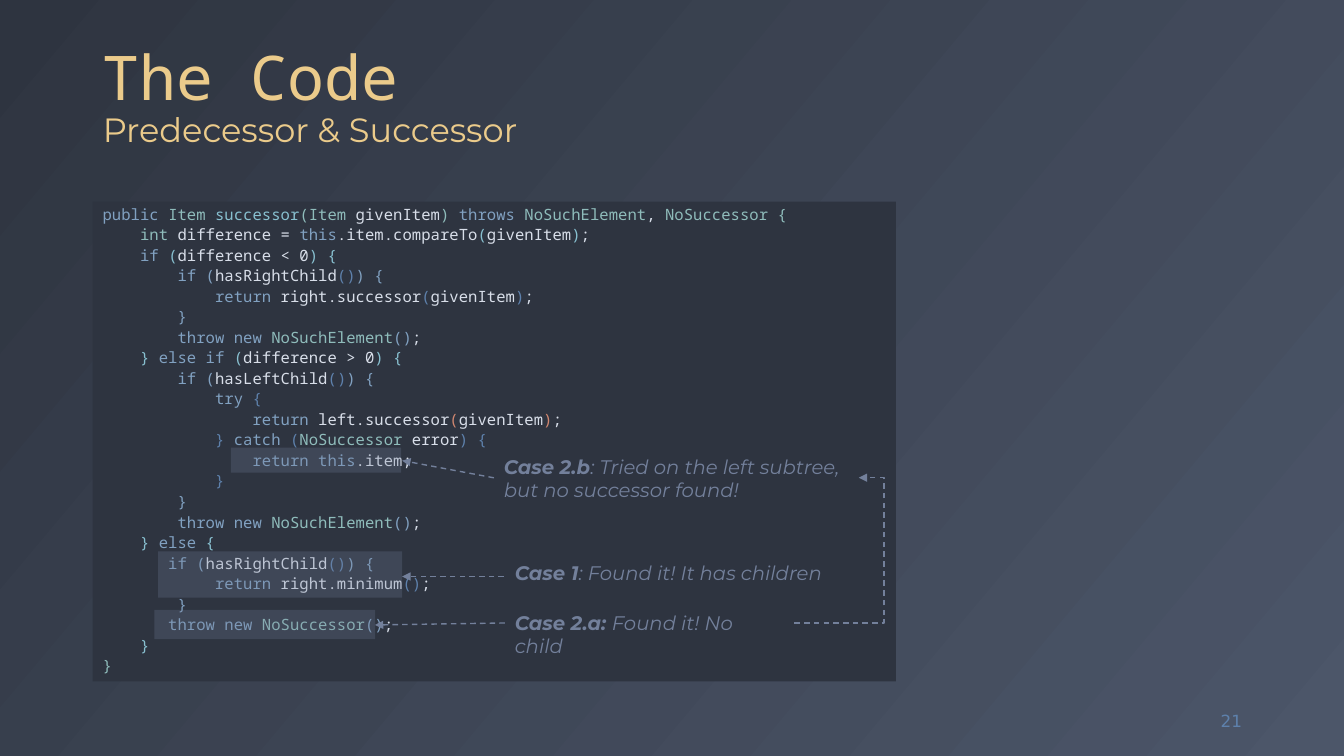
from lxml import etree
from pptx import Presentation
from pptx.dml.color import RGBColor
from pptx.enum.dml import MSO_LINE
from pptx.enum.shapes import MSO_CONNECTOR, MSO_SHAPE
from pptx.enum.text import MSO_ANCHOR, MSO_AUTO_SIZE, PP_ALIGN
from pptx.oxml.ns import qn
from pptx.util import Pt

RECTANGLE = MSO_SHAPE.RECTANGLE
STRAIGHT, ELBOW = MSO_CONNECTOR.STRAIGHT, MSO_CONNECTOR.ELBOW
DASH = MSO_LINE.DASH
LEFT, RIGHT = PP_ALIGN.LEFT, PP_ALIGN.RIGHT
TOP, MIDDLE, BOTTOM = MSO_ANCHOR.TOP, MSO_ANCHOR.MIDDLE, MSO_ANCHOR.BOTTOM
NO_AUTOFIT = MSO_AUTO_SIZE.NONE

# Content
MONO, SANS, NUMBER_FONT = "Noto Sans Mono", "Montserrat", "DejaVu Sans"
GOLD, NIGHT, SLATE, MUTED, BLUE = "EBCB8B", "2E3440", "4C5669", "73809B", "5E81AC"
SYNTAX = {
    "key": "81A1C1", "type": "8FBCBB", "call": "88C0D0",
    "name": "D8DEE9", "deep": BLUE, "inner": "D08770",
}
TITLE, SUBTITLE, PAGE_NUMBER = "The Code", "Predecessor & Successor", "21"

# Each code line: indent in characters, then (syntax class, text) spans
END = ("name", ";")
HAS_RIGHT = [("key", "if ("), ("name", "hasRightChild"), ("deep", "()"), ("key", ") {")]
NO_ELEMENT = [("key", "throw new "), ("type", "NoSuchElement"), ("key", "()"), END]
CODE = [
    (0, [("key", "public "), ("type", "Item "), ("call", "successor"), ("type", "(Item "),
         ("name", "givenItem"), ("type", ") "), ("key", "throws "),
         ("type", "NoSuchElement"), ("name", ", "), ("type", "NoSuccessor {")]),
    (4, [("type", "int "), ("name", "difference = "), ("key", "this"),
         ("name", ".item.compareTo"), ("call", "("), ("name", "givenItem"),
         ("call", ")"), END]),
    (4, [("key", "if "), ("call", "("), ("name", "difference < 0"), ("call", ") {")]),
    (8, HAS_RIGHT),
    (12, [("key", "return "), ("name", "right.successor"), ("deep", "("),
          ("name", "givenItem"), ("deep", ")"), END]),
    (8, [("key", "}")]),
    (8, NO_ELEMENT),
    (4, [("call", "} "), ("key", "else if "), ("call", "("),
         ("name", "difference > 0"), ("call", ") {")]),
    (8, [("key", "if ("), ("name", "hasLeftChild"), ("deep", "()"), ("key", ") {")]),
    (12, [("key", "try "), ("deep", "{")]),
    (16, [("key", "return "), ("name", "left.successor"), ("inner", "("),
          ("name", "givenItem"), ("inner", ")"), END]),
    (12, [("deep", "} "), ("key", "catch "), ("deep", "("), ("type", "NoSuccessor "),
          ("name", "error"), ("deep", ") {")]),
    (16, [("key", "return this"), ("name", ".item;")]),
    (12, [("deep", "}")]),
    (8, [("key", "}")]),
    (8, NO_ELEMENT),
    (4, [("call", "} "), ("key", "else "), ("call", "{")]),
    (7, HAS_RIGHT),
    (12, [("key", "return "), ("name", "right.minimum"), ("deep", "()"), END]),
    (8, [("key", "}")]),
    (7, [("key", "throw new "), ("type", "NoSuccessor"), ("key", "()"), END]),
    (4, [("call", "}")]),
    (0, [("type", "}")]),
]

# Callouts: left, top, width, height, wraps, bold label, lines of text
CALLOUTS = [
    (360.7, 397.4, 234, 24.5, False, "Case 1", [": Found it! It has children"]),
    (360.7, 432.7, 206.6, 24.5, True, "Case 2.a: ", ["Found it! No child"]),
    (352.8, 321.1, 260.6, 41, False, "Case 2.b",
     [": Tried on the left subtree, ", "but no successor found!"]),
]
HIGHLIGHTS = [
    (164.9, 319.7, 121.7, 18), (113, 393.8, 174.2, 33.1), (110.2, 435.6, 157.7, 20.9),
]
# Arrows: kind, start x, start y, end x, end y
ARROWS = [
    (STRAIGHT, 352.8, 341.3, 287.3, 329),
    (STRAIGHT, 360, 411.8, 287.3, 411.8),
    (STRAIGHT, 360.7, 445, 267.8, 446.4),
    (ELBOW, 567.4, 445, 613.4, 341.3),
]
ELBOW_BEND = 138900


def colour(code):
    return RGBColor.from_string(code)


def points(*values):
    return [Pt(value) for value in values]


def add_span(para, text, font, size, code, bold=None, italic=None):
    span = para.add_run()
    span.text = text
    span.font.name, span.font.size = font, Pt(size)
    span.font.color.rgb = colour(code)
    span.font.bold, span.font.italic = bold, italic


def set_frame(box, anchor, wrap=True):
    frame = box.text_frame
    frame.auto_size = NO_AUTOFIT
    frame.word_wrap = wrap
    frame.vertical_anchor = anchor
    return frame


def add_panel(page, place, code):
    box = page.shapes.add_shape(RECTANGLE, *points(*place))
    box.shadow.inherit = False
    box.fill.solid()
    box.fill.fore_color.rgb = colour(code)
    box.line.fill.background()
    return box


deck = Presentation()
deck.slide_width, deck.slide_height = points(960, 540)
page = deck.slides.add_slide(deck.slide_layouts[5])

# Background
backdrop = page.background.fill
backdrop.gradient()
backdrop.gradient_angle = 320
for stop, code in zip(backdrop.gradient_stops, (NIGHT, SLATE)):
    stop.color.rgb = colour(code)

# Title
title = page.shapes.title
title.left, title.top, title.width, title.height = points(66.24, 13, 828, 97.9)
para = set_frame(title, BOTTOM).paragraphs[0]
para.alignment, para.line_spacing = LEFT, 0.9
add_span(para, TITLE, MONO, 44, GOLD)
para.add_line_break()
add_span(para, SUBTITLE, SANS, 24, GOLD)

# Code panel
panel = add_panel(page, (66.24, 144, 573.8, 342.7), NIGHT)
frame = set_frame(panel, MIDDLE)
for index, (indent, spans) in enumerate(CODE):
    para = frame.add_paragraph() if index else frame.paragraphs[0]
    para.alignment, para.line_spacing, para.space_before = LEFT, 0.8, Pt(4)
    for position, (kind, text) in enumerate(spans):
        lead = "" if position else " " * indent
        add_span(para, lead + text, MONO, 11.1, SYNTAX[kind])
para.space_after = Pt(6)

# Page number
number = page.shapes.add_textbox(*points(834.5, 500.4, 59.8, 28.8))
para = set_frame(number, MIDDLE).paragraphs[0]
para.alignment = RIGHT
add_span(para, PAGE_NUMBER, NUMBER_FONT, 12, BLUE)

# Callouts
for *place, wrap, label, lines in CALLOUTS:
    box = page.shapes.add_textbox(*points(*place))
    para = set_frame(box, TOP, wrap).paragraphs[0]
    add_span(para, label, SANS, 14, MUTED, True, True)
    for index, line in enumerate(lines):
        if index:
            para.add_line_break()
        add_span(para, line, SANS, 14, MUTED, False, True)

# Translucent highlights over the code
for place in HIGHLIGHTS:
    highlight = add_panel(page, place, MUTED)
    tint = highlight.fill._xPr.find(".//" + qn("a:srgbClr"))
    etree.SubElement(tint, qn("a:alpha"), val="26000")

# Dashed arrows
for kind, *ends in ARROWS:
    arrow = page.shapes.add_connector(kind, *points(*ends))
    arrow.line.color.rgb = colour(MUTED)
    arrow.line.width = Pt(1)
    arrow.line.dash_style = DASH
    properties = arrow._element.spPr
    etree.SubElement(properties.find(qn("a:ln")), qn("a:tailEnd"), type="triangle")
    etree.SubElement(properties, qn("a:effectLst"))
    if kind == ELBOW:
        guides = properties.find(".//" + qn("a:avLst"))
        etree.SubElement(guides, qn("a:gd"), name="adj1", fmla=f"val {ELBOW_BEND}")

deck.save("out.pptx")
